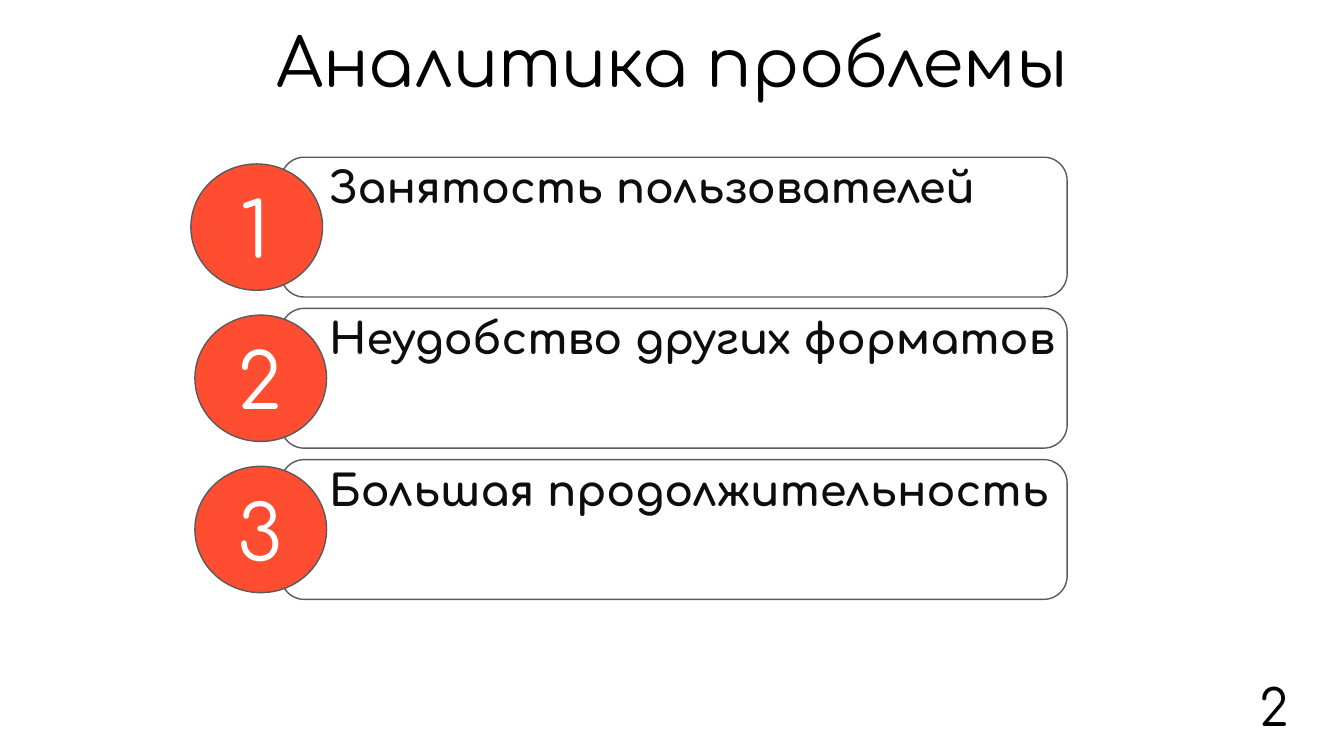
from dataclasses import dataclass

from pptx import Presentation
from pptx.dml.color import RGBColor
from pptx.enum.shapes import MSO_SHAPE
from pptx.enum.text import MSO_ANCHOR, PP_ALIGN
from pptx.util import Pt

PX = 4572
ROUNDED = MSO_SHAPE.ROUNDED_RECTANGLE
OVAL = MSO_SHAPE.OVAL
TOP, BOTTOM = MSO_ANCHOR.TOP, MSO_ANCHOR.BOTTOM
LEFT, CENTER, RIGHT = PP_ALIGN.LEFT, PP_ALIGN.CENTER, PP_ALIGN.RIGHT


@dataclass(frozen=True)
class Theme:
    """Colours, font and type sizes of the deck."""

    font: str = "Comfortaa"
    paper: str = "FFFFFF"
    ink: str = "000000"
    body: str = "0D0D0D"
    outline: str = "595959"
    accent: str = "FF4D32"
    title_size: float = 35.8
    number_size: float = 41
    problem_size: float = 23
    page_size: float = 27


THEME = Theme()
PROBLEMS = [
    ("Занятость пользователей", 284, (1138, 254)),
    ("Неудобство других форматов", 290, (1208, 118)),
    ("Большая продолжительность", 290, (1126, 118)),
]
ROW_PITCH = 225


def emu(box):
    """Turn a px box into EMU lengths."""
    return [length * PX for length in box]


def add_text(page, box, text, size, color, align=LEFT, anchor=TOP, bold=False):
    """Place one paragraph of text in the box."""
    frame = page.shapes.add_textbox(*emu(box)).text_frame
    frame.word_wrap = True
    frame.vertical_anchor = anchor
    frame.margin_left = frame.margin_right = 20 * PX
    frame.margin_top = frame.margin_bottom = 20 * PX
    para = frame.paragraphs[0]
    para.text = text
    para.alignment = align
    para.font.name = THEME.font
    para.font.size = Pt(size)
    para.font.bold = bold
    para.font.color.rgb = RGBColor.from_string(color)
    return para


def add_outlined(page, kind, box, fill):
    """Place a filled shape with the thin grey outline."""
    shape = page.shapes.add_shape(kind, *emu(box))
    shape.shadow.inherit = False
    shape.fill.solid()
    shape.fill.fore_color.rgb = RGBColor.from_string(fill)
    shape.line.color.rgb = RGBColor.from_string(THEME.outline)
    shape.line.width = Pt(0.75)


def add_problem(page, box, number, text, circle_left, text_size):
    """Place a numbered problem card relative to its box."""
    left, top, _, _ = box
    add_outlined(page, ROUNDED, box, THEME.paper)
    para = add_text(page, (left + 52, top - 9, *text_size), text,
                    THEME.problem_size, THEME.body, bold=True)
    para.line_spacing = 0.95
    add_outlined(page, OVAL, (circle_left, top + 10, 196, 188), THEME.accent)
    add_text(page, (left - 84, top + 17, 92, 178), str(number),
             THEME.number_size, THEME.paper, CENTER)


def add_problem_page(deck):
    """Build the page with the title, the problem cards and the page number."""
    page = deck.slides.add_slide(deck.slide_layouts[6])
    page.background.fill.solid()
    page.background.fill.fore_color.rgb = RGBColor.from_string(THEME.paper)
    add_text(page, (270, -6, 1460, 176), "Аналитика проблемы",
             THEME.title_size, THEME.ink, CENTER, BOTTOM)
    for index, (text, circle_left, text_size) in enumerate(PROBLEMS):
        card = (418, 234 + index * ROW_PITCH, 1170, 208)
        add_problem(page, card, index + 1, text, circle_left, text_size)
    add_text(page, (1846, 986, 92, 132), "2", THEME.page_size, THEME.ink, RIGHT)


def main():
    """Create and save the deck."""
    deck = Presentation()
    deck.slide_width, deck.slide_height = 2000 * PX, 1125 * PX
    add_problem_page(deck)
    deck.save("out.pptx")


if __name__ == "__main__":
    main()
